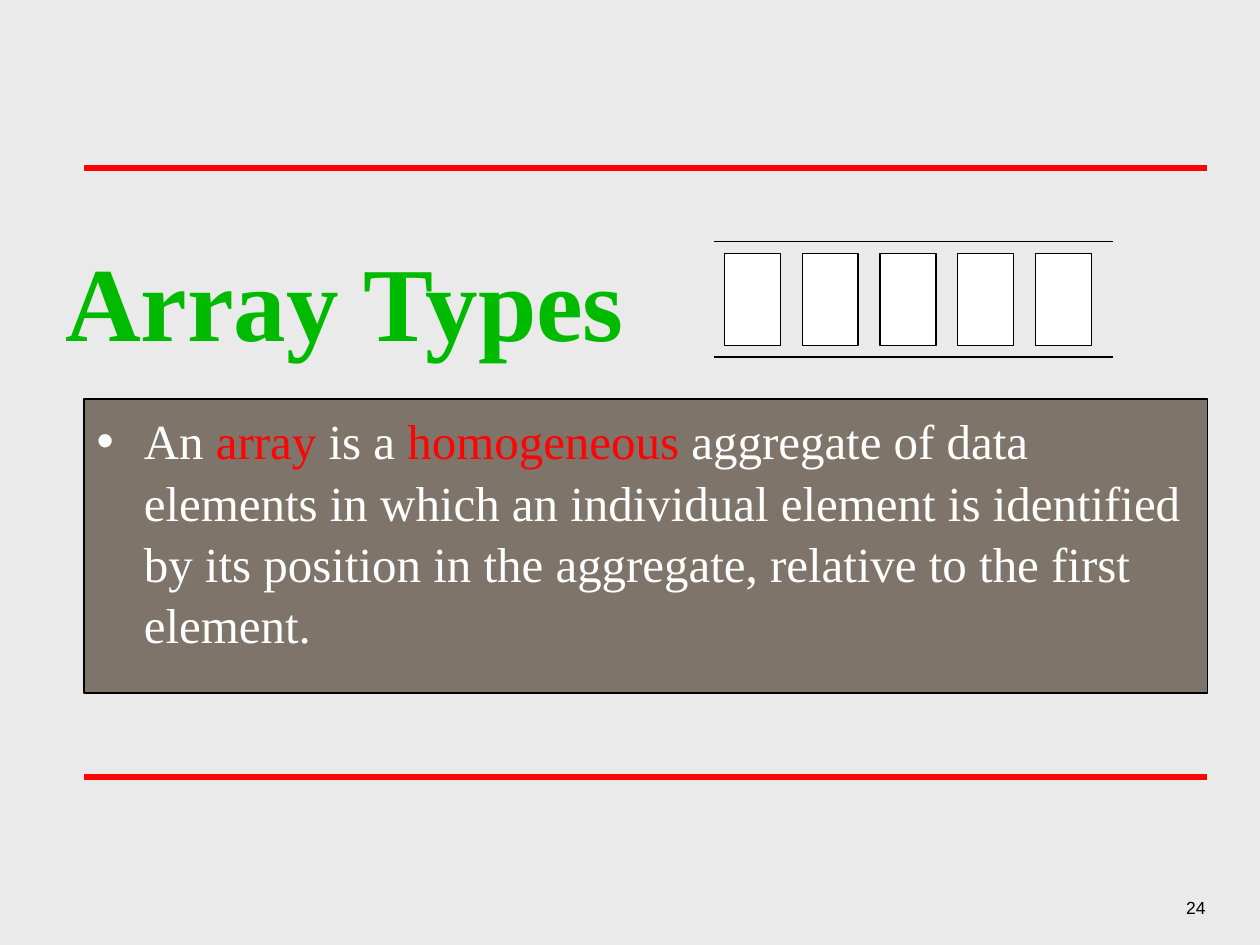
from lxml.etree import SubElement
from pptx import Presentation
from pptx.dml.color import RGBColor
from pptx.enum.shapes import MSO_CONNECTOR, MSO_SHAPE
from pptx.enum.text import MSO_ANCHOR, MSO_AUTO_SIZE, PP_ALIGN
from pptx.oxml.ns import qn
from pptx.util import Pt

BACKGROUND = RGBColor(0xEA, 0xEA, 0xEA)
GREEN = RGBColor(0x00, 0xBA, 0x00)
RED = RGBColor(0xFF, 0x03, 0x03)
RULE_RED = RGBColor(0xFF, 0x00, 0x00)
BROWN = RGBColor(0x7F, 0x74, 0x69)
WHITE = RGBColor(0xFF, 0xFF, 0xFF)
BLACK = RGBColor(0x00, 0x00, 0x00)


def place(shape, left, top, width, height):
    shape.left, shape.top = Pt(left), Pt(top)
    shape.width, shape.height = Pt(width), Pt(height)


def add_horizontal_line(left, right, y, color, weight):
    line = slide.shapes.add_connector(
        MSO_CONNECTOR.STRAIGHT, Pt(left), Pt(y), Pt(right), Pt(y))
    line.line.color.rgb = color
    line.line.width = Pt(weight)
    SubElement(line._element.spPr, qn("a:effectLst"))


presentation = Presentation()
presentation.slide_width, presentation.slide_height = Pt(720), Pt(540)
slide = presentation.slides.add_slide(presentation.slide_layouts[1])
slide.background.fill.solid()
slide.background.fill.fore_color.rgb = BACKGROUND

# Red rules above and below the content
for y, color in ((96, RULE_RED), (444, RED)):
    add_horizontal_line(48, 690, y, color, 3)

# Title
title = slide.shapes.title
place(title, 30, 126, 360, 90)
title.text_frame.text = "Array Types"
title.text_frame.auto_size = MSO_AUTO_SIZE.NONE
title.text_frame.vertical_anchor = MSO_ANCHOR.MIDDLE
paragraph = title.text_frame.paragraphs[0]
paragraph.alignment = PP_ALIGN.LEFT
paragraph.font.name = "Times New Roman"
paragraph.font.size = Pt(60)
paragraph.font.bold = True
paragraph.font.color.rgb = GREEN

# Definition
body = slide.placeholders[1]
place(body, 48, 228, 642, 168)
body.fill.solid()
body.fill.fore_color.rgb = BROWN
body.line.color.rgb = BLACK
body.line.width = Pt(0.75)
body.text_frame.auto_size = MSO_AUTO_SIZE.NONE
body.text_frame.margin_top = Pt(5.5)
paragraph = body.text_frame.paragraphs[0]
paragraph.space_before = Pt(0)
paragraph.line_spacing = 1.04
paragraph.font.name = "Times New Roman"
paragraph.font.size = Pt(28)
for text, color in (
    ("An ", WHITE),
    ("array", RED),
    (" is a ", WHITE),
    ("homogeneous", RED),
    (" aggregate of data elements in which an individual element is identified "
     "by its position in the aggregate, relative to the first element.", WHITE),
):
    run = paragraph.add_run()
    run.text = text
    run.font.color.rgb = color

# Array drawing: five equal cells between two lines
for index in range(5):
    cell = slide.shapes.add_shape(
        MSO_SHAPE.RECTANGLE, Pt(414 + 44.4 * index), Pt(144.7), Pt(32), Pt(52.6))
    cell.shadow.inherit = False
    cell.fill.solid()
    cell.fill.fore_color.rgb = WHITE
    cell.line.color.rgb = BLACK
    cell.line.width = Pt(0.75)
for y in (138, 204):
    add_horizontal_line(408, 636, y, BLACK, 0.75)

# Slide number
number = slide.shapes.add_textbox(Pt(546), Pt(492), Pt(150), Pt(36))
number.text_frame.word_wrap = True
number.text_frame.vertical_anchor = MSO_ANCHOR.BOTTOM
number.text_frame.text = "24"
paragraph = number.text_frame.paragraphs[0]
paragraph.alignment = PP_ALIGN.RIGHT
paragraph.font.name = "Arial"
paragraph.font.size = Pt(10)
paragraph.font.color.rgb = BLACK

presentation.save("out.pptx")
